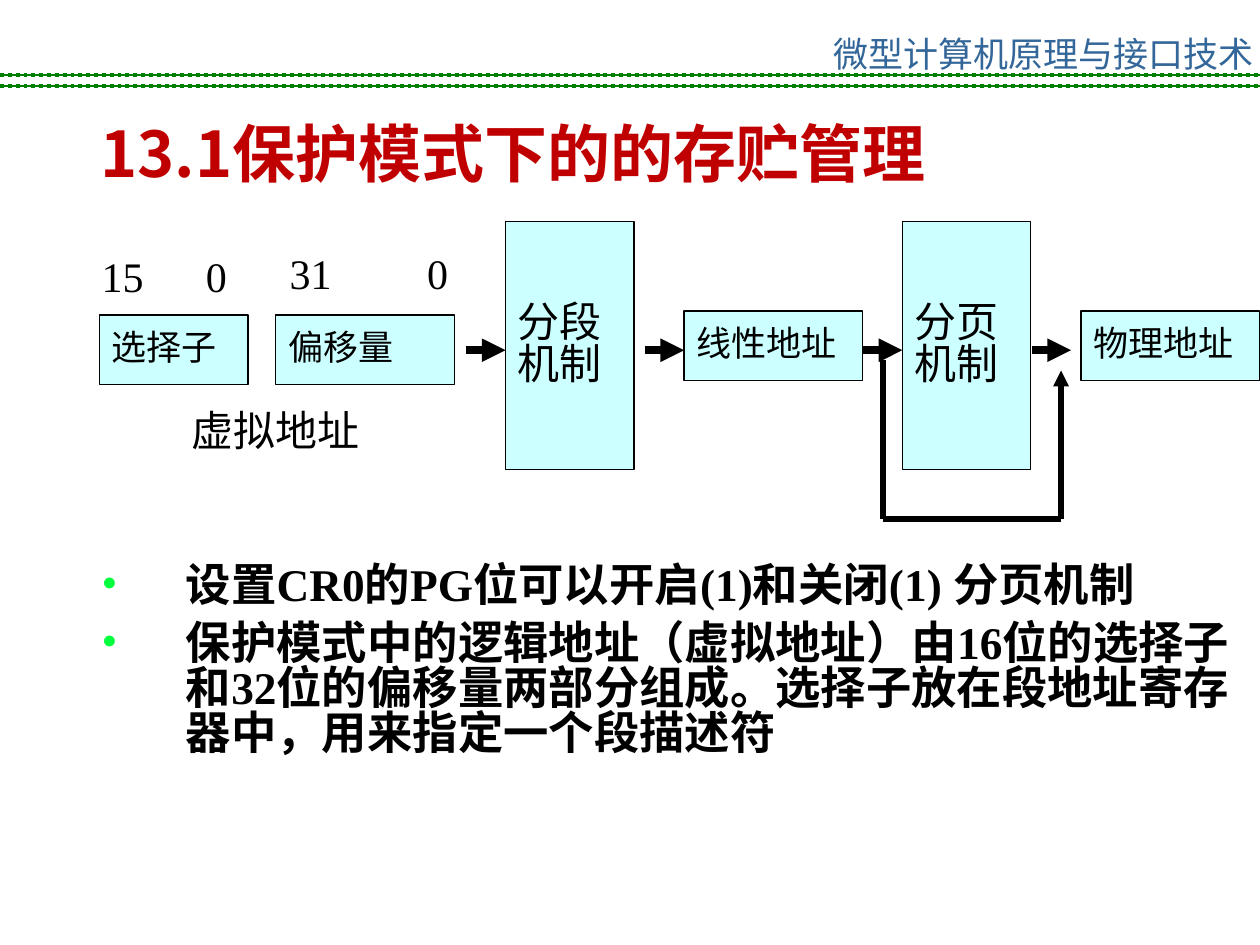
from lxml.etree import SubElement
from pptx import Presentation
from pptx.dml.color import RGBColor
from pptx.enum.dml import MSO_LINE
from pptx.enum.shapes import MSO_CONNECTOR, MSO_SHAPE
from pptx.enum.text import MSO_ANCHOR, PP_ALIGN
from pptx.oxml.ns import qn
from pptx.util import Cm, Pt

COLORS = {"header": "336699", "rule": "008000", "title": "C00000",
          "box": "CCFFFF", "ink": "000000", "bullet": "01FF3D"}
SANS, SERIF = "Noto Sans CJK SC", "Times New Roman"
WIDTH, HEIGHT = 25.4, 19.05
TIGHT = 0.83  # line spacing that offsets the tall lines of the Chinese font

HEADER = "微型计算机原理与接口技术"
TITLE = "13.1保护模式下的的存贮管理"
BULLETS = [
    "设置CR0的PG位可以开启(1)和关闭(1) 分页机制",
    "保护模式中的逻辑地址（虚拟地址）由16位的选择子和32位的偏移量两部分组成。"
    "选择子放在段地址寄存器中，用来指定一个段描述符",
]
# lines, left, top, width, height, font size
BOXES = [
    (["选择子"], 2.0, 6.35, 3.0, 1.4, 20),
    (["偏移量"], 5.56, 6.35, 3.6, 1.4, 20),
    (["分段", "机制"], 10.19, 4.47, 2.59, 5.0, 24),
    (["线性地址"], 13.79, 6.27, 3.6, 1.4, 20),
    (["分页", "机制"], 18.19, 4.47, 2.59, 5.0, 24),
    (["物理地址"], 21.79, 6.27, 3.6, 1.4, 20),
]
# high bit, low bit, left, top, width, tab position
BIT_LABELS = [("15", "0", 1.8, 4.93, 3.25, 2.1),
              ("31", "0", 5.59, 4.87, 3.78, 2.77)]
FLOW_Y, FLOW_LENGTH = 7.06, 0.79
FLOW_STARTS = [9.4, 13.0, 17.4, 20.8]
BYPASS = [(17.8, 7.26), (17.8, 10.46), (21.39, 10.46), (21.39, 7.47)]
RULE_HEIGHTS = [1.52, 1.73]


def color(name):
    return RGBColor.from_string(COLORS[name])


def add_span(para, text, size, font=SERIF, ink="ink", bold=False):
    span = para.add_run()
    span.text = text
    span.font.size = Pt(size)
    span.font.name = font
    span.font.bold = bold
    span.font.color.rgb = color(ink)
    SubElement(span.font._element, qn("a:ea"), typeface=SANS)


def add_text_box(page, left, top, width, height, wrap=True):
    frame = page.shapes.add_textbox(Cm(left), Cm(top), Cm(width), Cm(height)).text_frame
    frame.word_wrap = wrap
    return frame


def add_line(page, start, end, points, ink="ink", arrow=False, dash=None):
    line = page.shapes.add_connector(
        MSO_CONNECTOR.STRAIGHT, *(Cm(value) for value in (*start, *end)))
    line.line.width = Pt(points)
    line.line.color.rgb = color(ink)
    if dash is not None:
        line.line.dash_style = dash
    if arrow:
        SubElement(line.line._get_or_add_ln(), qn("a:tailEnd"), type="triangle")
    SubElement(line._element.spPr, qn("a:effectLst"))


def add_header(page):
    for y in RULE_HEIGHTS:
        add_line(page, (0, y), (WIDTH, y), 1.25, "rule")
        add_line(page, (0, y), (WIDTH, y), 2.25, "rule", dash=MSO_LINE.ROUND_DOT)
    frame = add_text_box(page, 16.8, 0.53, 8.6, 0.61)
    frame.margin_left = frame.margin_right = 0
    add_span(frame.paragraphs[0], HEADER, 20, SANS, "header")


def add_title(page):
    para = add_text_box(page, 1.55, 2.18, 17.58, 1.27, wrap=False).paragraphs[0]
    para.alignment = PP_ALIGN.CENTER
    add_span(para, TITLE, 36, SANS, "title", bold=True)


def add_bullets(page):
    frame = add_text_box(page, 1.8, 11.28, 23.8, 5.59)
    for index, text in enumerate(BULLETS):
        para = frame.add_paragraph() if index else frame.paragraphs[0]
        para.line_spacing = TIGHT
        para.space_before = Pt(7 if index else 0)
        props = para._p.get_or_add_pPr()
        props.set("marL", str(Cm(1.7)))
        props.set("indent", str(-Cm(1.7)))
        SubElement(SubElement(props, qn("a:buClr")), qn("a:srgbClr"), val=COLORS["bullet"])
        SubElement(props, qn("a:buFont"), typeface=SERIF)
        SubElement(props, qn("a:buChar"), char="•")
        add_span(para, text, 25.9, bold=True)


def add_box(page, lines, left, top, width, height, size):
    box = page.shapes.add_shape(
        MSO_SHAPE.RECTANGLE, Cm(left), Cm(top), Cm(width), Cm(height))
    box.shadow.inherit = False
    box.fill.solid()
    box.fill.fore_color.rgb = color("box")
    box.line.color.rgb = color("ink")
    box.line.width = Pt(0.75)
    frame = box.text_frame
    frame.word_wrap = False
    frame.vertical_anchor = MSO_ANCHOR.MIDDLE
    for index, text in enumerate(lines):
        para = frame.add_paragraph() if index else frame.paragraphs[0]
        para.alignment = PP_ALIGN.LEFT
        para.line_spacing = TIGHT
        add_span(para, text, size)


def add_bit_label(page, high, low, left, top, width, tab):
    para = add_text_box(page, left, top, width, 1.27).paragraphs[0]
    tabs = SubElement(para._p.get_or_add_pPr(), qn("a:tabLst"))
    SubElement(tabs, qn("a:tab"), pos=str(Cm(tab)), algn="l")
    add_span(para, high + "\t", 24)
    add_span(para, low, 24)


def add_diagram(page):
    for box in BOXES:
        add_box(page, *box)
    for label in BIT_LABELS:
        add_bit_label(page, *label)
    caption = add_text_box(page, 3.61, 8.2, 3.89, 1.27, wrap=False).paragraphs[0]
    caption.line_spacing = TIGHT
    add_span(caption, "虚拟地址", 24)
    for x in FLOW_STARTS:
        add_line(page, (x, FLOW_Y), (x + FLOW_LENGTH, FLOW_Y), 4.5, arrow=True)
    for start, end in zip(BYPASS, BYPASS[1:]):
        add_line(page, start, end, 3, arrow=end == BYPASS[-1])


def main():
    deck = Presentation()
    deck.slide_width, deck.slide_height = Cm(WIDTH), Cm(HEIGHT)
    page = deck.slides.add_slide(deck.slide_layouts[6])
    add_header(page)
    add_title(page)
    add_bullets(page)
    add_diagram(page)
    deck.save("out.pptx")


if __name__ == "__main__":
    main()
